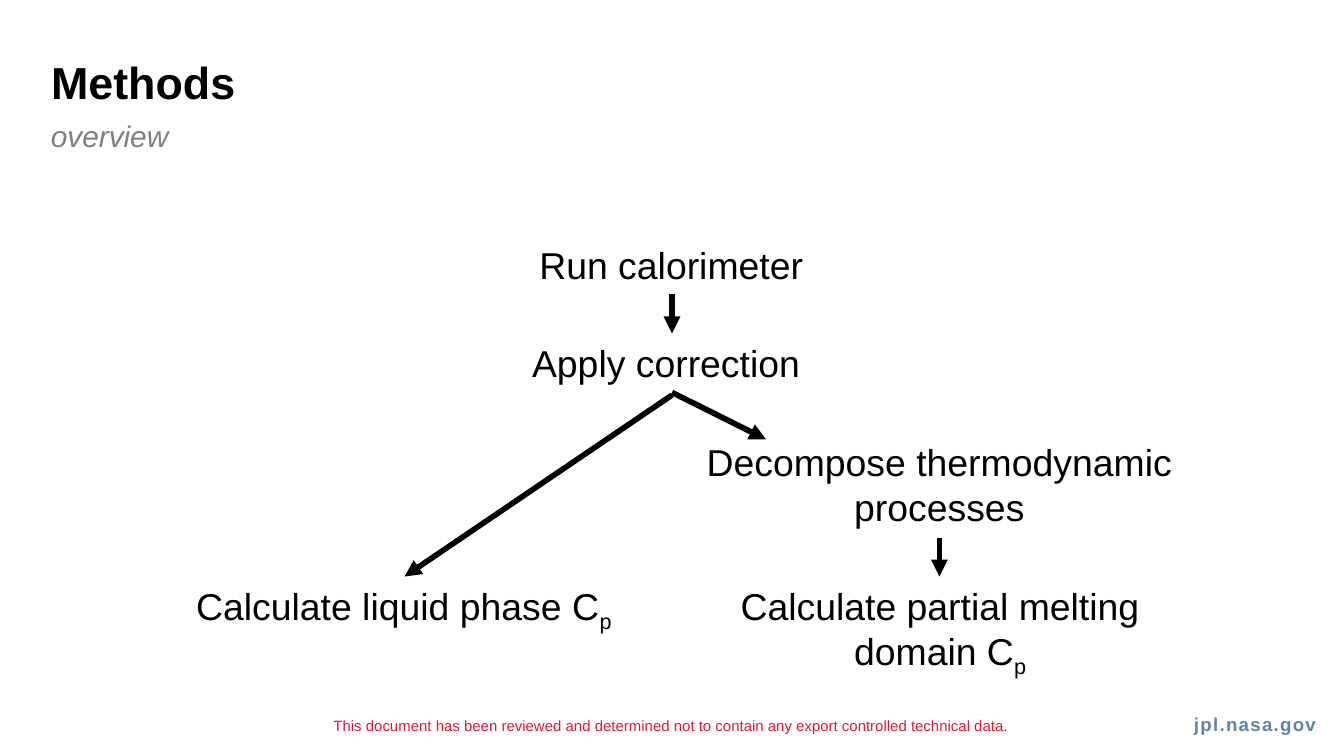
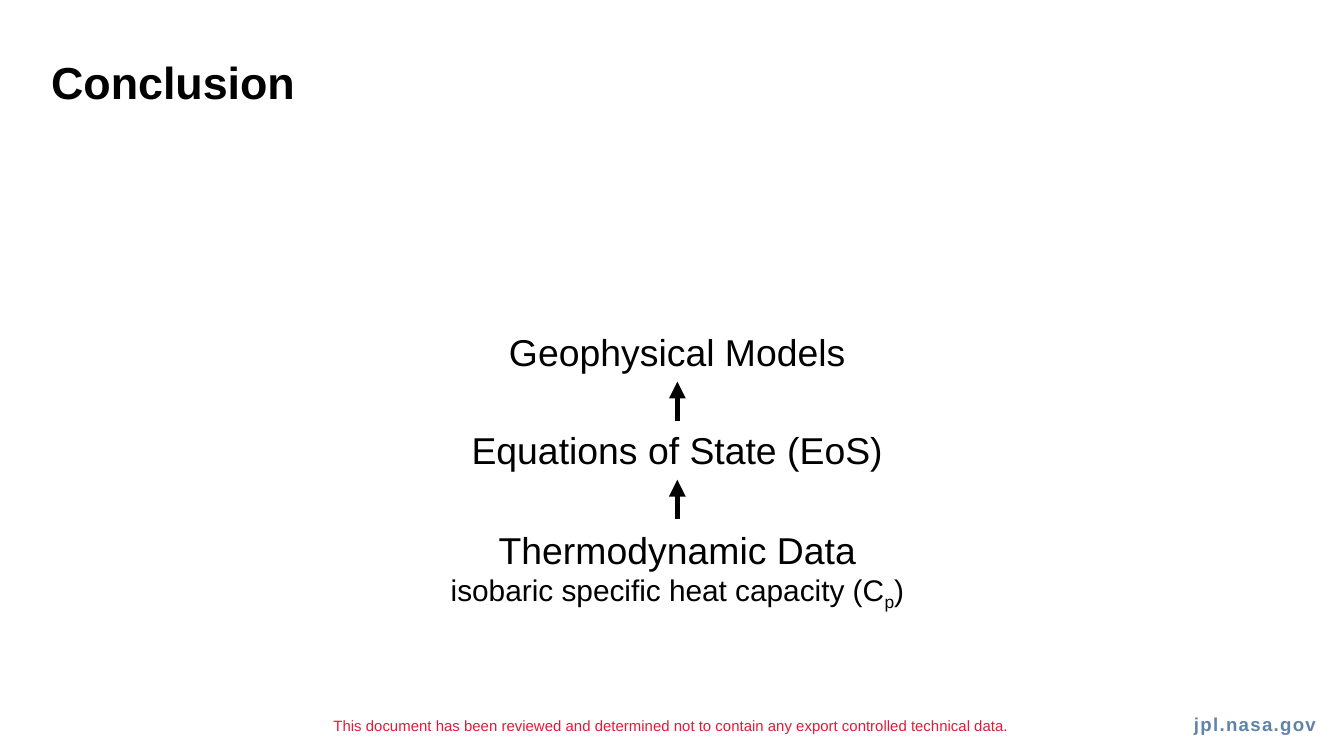
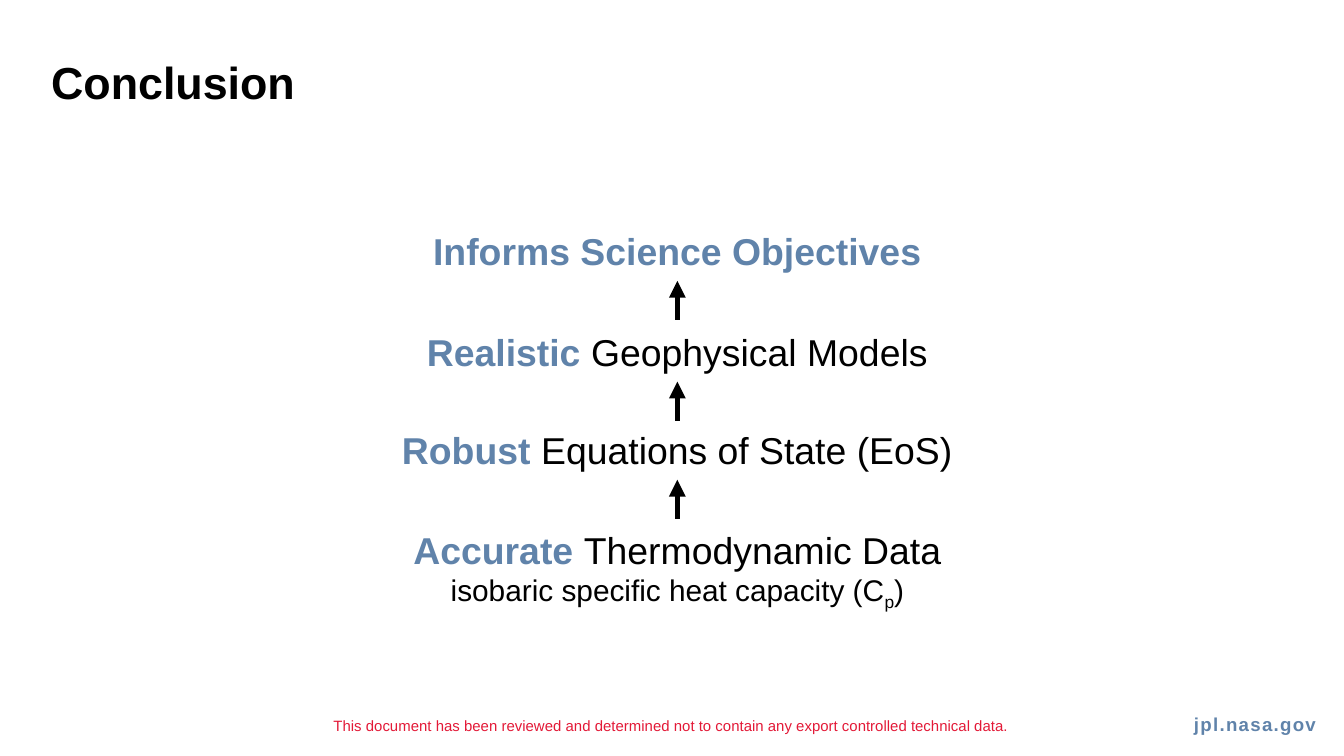
"""Build three slides on calorimetry methods and the conclusions drawn from them."""
from lxml import etree
from pptx import Presentation
from pptx.dml.color import RGBColor
from pptx.enum import shapes, text
from pptx.oxml import ns
from pptx.util import Inches, Pt

BLACK, BLUE, GREY, RED = "000000", "6083AA", "808080", "E31937"
LEFT, CENTER, RIGHT = text.PP_ALIGN.LEFT, text.PP_ALIGN.CENTER, text.PP_ALIGN.RIGHT
MIDDLE = text.MSO_ANCHOR.MIDDLE

STYLES = {
    "title": {"size": 24, "bold": True},
    "subtitle": {"size": 16, "italic": True, "color": GREY},
    "step": {"size": 20},
    "step sub": {"size": 20, "baseline": -25000},
    "key": {"size": 20, "bold": True, "color": BLUE},
    "detail": {"size": 16},
    "detail sub": {"size": 16, "baseline": -25000},
    "site": {"size": 10, "bold": True, "color": BLUE, "spc": 70},
    "notice": {"size": 8, "color": RED},
}

TITLE_AREA = (0.28, 0.37, 9.31, 0.47)
SUBTITLE_AREA = (0.28, 0.83, 9.31, 0.38)
SITE = ("jpl.nasa.gov", (8.54, 5.16, 1.35, 0.46))
NOTICE = ("This document has been reviewed and determined not to contain "
          "any export controlled technical data.", (1.83, 5.25, 6.33, 0.3))

METHOD_STEPS = [
    ([("Run calorimeter", "step")], (3.29, 1.75, 3.41, 0.44)),
    ([("Apply correction ", "step")], (3.29, 2.48, 3.41, 0.44)),
    ([("Calculate liquid phase C", "step"), ("p", "step sub")], (1.3, 4.29, 3.41, 0.44)),
    ([("Decompose thermodynamic processes", "step")], (5.06, 3.22, 3.86, 0.77)),
    ([("Calculate partial melting domain C", "step"), ("p", "step sub")],
     (5.29, 4.29, 3.41, 0.77)),
]
METHOD_ARROWS = [
    ((5, 2.19), (5, 2.48)),
    ((6.99, 4), (6.99, 4.29)),
    ((5, 2.92), (5.7, 3.27)),
    ((5, 2.94), (3.01, 4.29)),
]

HEAT_CAPACITY = [("isobaric specific heat capacity (C", "detail"),
                 ("p", "detail sub"), (")", "detail")]
PLAIN_LEVELS = [
    ([[("Thermodynamic Data", "step")], HEAT_CAPACITY], 6.09),
    ([[("Equations of State (EoS)", "step")]], 6.62),
    ([[("Geophysical Models", "step")]], 6.09),
]
KEYWORDS = ["Accurate ", "Robust ", "Realistic "]
KEYED_LEVELS = [
    ([[(keyword, "key"), *lines[0]], *lines[1:]], width)
    for keyword, (lines, width) in zip(KEYWORDS, PLAIN_LEVELS)
] + [([[("Informs Science Objectives", "key")]], 6.09)]

LEVEL_CENTER = 5.04
LEVEL_TOPS = [3.87, 3.13, 2.4, 1.65]
LINE_HEIGHT, DETAIL_HEIGHT, ARROW_LENGTH = 0.44, 0.27, 0.29


def color(value):
    """Turn a hex string into a colour."""
    return RGBColor.from_string(value)


def write(frame, lines, align=LEFT, **settings):
    """Fill a text frame with lines of (text, style) runs."""
    defaults = {"word_wrap": True, "auto_size": text.MSO_AUTO_SIZE.NONE}
    for name, value in {**defaults, **settings}.items():
        setattr(frame, name, value)
    for index, runs in enumerate(lines):
        para = frame.add_paragraph() if index else frame.paragraphs[0]
        para.alignment = align
        for words, style in runs:
            span = para.add_run()
            span.text = words
            look = {"bold": False, "italic": False, "color": BLACK, **STYLES[style]}
            values = {"name": "Arial", "size": Pt(look["size"]),
                      "bold": look["bold"], "italic": look["italic"]}
            for name, value in values.items():
                setattr(span.font, name, value)
            span.font.color.rgb = color(look["color"])
            for name in ("baseline", "spc"):
                if name in look:
                    span.font._element.set(name, str(look[name]))


def add_text(page, lines, area, align=CENTER, **settings):
    """Add a text box at an area given in inches."""
    box = page.shapes.add_textbox(*map(Inches, area))
    write(box.text_frame, lines, align, **settings)


def add_step(page, lines, area):
    """Add a centred box that grows with its text."""
    add_text(page, lines, area, auto_size=text.MSO_AUTO_SIZE.SHAPE_TO_FIT_TEXT)


def add_arrow(page, start, end):
    """Draw a thick black arrow between two points."""
    arrow = page.shapes.add_connector(
        shapes.MSO_CONNECTOR.STRAIGHT, *map(Inches, (*start, *end)))
    arrow.line.color.rgb = color(BLACK)
    arrow.line.width = Pt(3)
    etree.SubElement(arrow.line._get_or_add_ln(), ns.qn("a:tailEnd"), type="triangle")
    etree.SubElement(arrow._element.spPr, ns.qn("a:effectLst"))


def add_page(deck, heading):
    """Add a slide with its title, site name and review notice."""
    page = deck.slides.add_slide(deck.slide_layouts[5])
    title = page.shapes.title
    for name, value in zip(("left", "top", "width", "height"), TITLE_AREA):
        setattr(title, name, Inches(value))
    write(title.text_frame, [[(heading, "title")]], vertical_anchor=MIDDLE)
    for (words, area), style, align in ((SITE, "site", RIGHT), (NOTICE, "notice", CENTER)):
        add_text(page, [[(words, style)]], area, align, vertical_anchor=MIDDLE)
    return page


def add_methods(deck):
    """Build the flow of measuring and calculating steps."""
    page = add_page(deck, "Methods")
    add_text(page, [[("overview", "subtitle")]], SUBTITLE_AREA, LEFT)
    for runs, area in METHOD_STEPS:
        add_step(page, [runs], area)
    for start, end in METHOD_ARROWS:
        add_arrow(page, start, end)


def add_conclusion(deck, levels):
    """Stack levels from the bottom up, joined by arrows."""
    page = add_page(deck, "Conclusion")
    for index, ((lines, width), top) in enumerate(zip(levels, LEVEL_TOPS)):
        height = LINE_HEIGHT + DETAIL_HEIGHT * (len(lines) - 1)
        add_step(page, lines, (LEVEL_CENTER - width / 2, top, width, height))
        if index:
            tip = top + LINE_HEIGHT
            add_arrow(page, (LEVEL_CENTER, tip + ARROW_LENGTH), (LEVEL_CENTER, tip))


def main():
    """Build and save the deck."""
    deck = Presentation()
    deck.slide_width = Inches(10)
    deck.slide_height = deck.slide_width * 9 // 16
    add_methods(deck)
    for levels in (PLAIN_LEVELS, KEYED_LEVELS):
        add_conclusion(deck, levels)
    deck.save("out.pptx")


if __name__ == "__main__":
    main()
